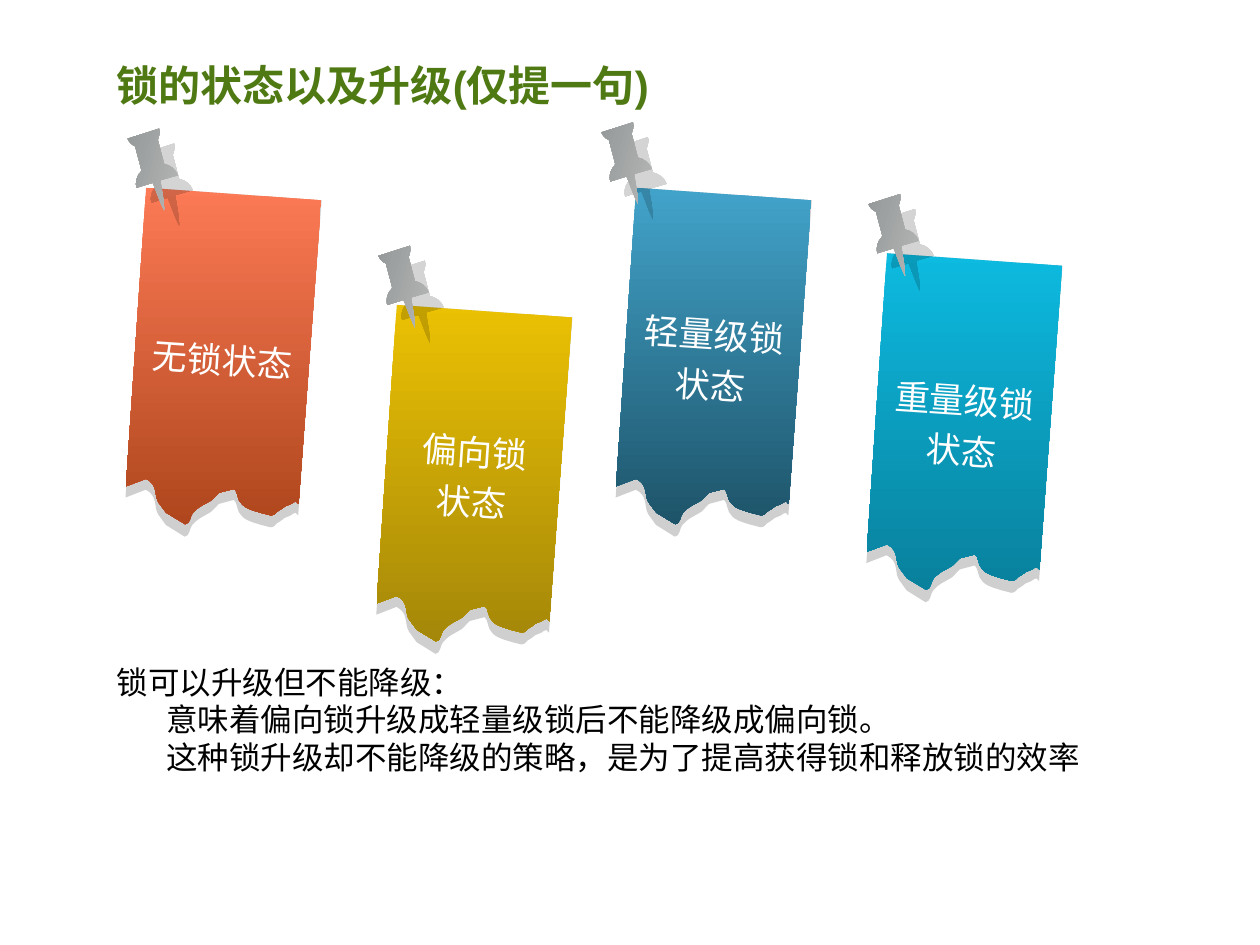
from math import cos, radians, sin

from lxml import etree
from pptx import Presentation
from pptx.dml.color import RGBColor
from pptx.enum.text import MSO_ANCHOR, MSO_AUTO_SIZE, PP_ALIGN
from pptx.oxml.ns import qn
from pptx.util import Inches, Pt

MIDDLE, TOP = MSO_ANCHOR.MIDDLE, MSO_ANCHOR.TOP
CENTER, LEFT = PP_ALIGN.CENTER, PP_ALIGN.LEFT
GROW = MSO_AUTO_SIZE.SHAPE_TO_FIT_TEXT
GREEN = RGBColor(0x4F, 0x79, 0x13)
BLACK = RGBColor(0x00, 0x00, 0x00)
WHITE = RGBColor(0xFF, 0xFF, 0xFF)
PAPER_SHADE = RGBColor(0xCF, 0xCF, 0xCF)
PIN_COLORS = RGBColor(0xBD, 0xBD, 0xBD), RGBColor(0x8A, 0x8F, 0x8F)
FONT = "Arial"

TITLE = "锁的状态以及升级(仅提一句)"
EXPLANATION = [  # text, left indent
    ("锁可以升级但不能降级：", 0),
    ("意味着偏向锁升级成轻量级锁后不能降级成偏向锁。", 0.39),
    ("这种锁升级却不能降级的策略，是为了提高获得锁和释放锁的效率", 0.39),
]
NOTES = [  # lines, top left corner, pin offset from it, gradient
    (["无锁状态"], (1.16, 1.49), (-0.15, -0.38),
     (RGBColor(0xFC, 0x7A, 0x56), RGBColor(0xAD, 0x45, 0x1B))),
    (["偏向锁", "状态"], (3.15, 2.42), (-0.15, -0.38),
     (RGBColor(0xEB, 0xC1, 0x03), RGBColor(0xA3, 0x86, 0x09))),
    (["轻量级锁状态"], (5.05, 1.49), (-0.28, -0.43),
     (RGBColor(0x42, 0xA3, 0xCA), RGBColor(0x1D, 0x52, 0x67))),
    (["重量级锁状态"], (7.04, 2.01), (-0.15, -0.38),
     (RGBColor(0x0D, 0xBA, 0xE0), RGBColor(0x09, 0x7F, 0x9B))),
]

# Outlines as they lie on the slide, from their first corner:
# two numbers are a line's end, six are a Bezier curve's controls and end.
PAPER = [
    (0, 0), (-0.16, 2.37), (0, 2.31), (0.1, 2.36, 0.06, 2.44, 0.1, 2.5),
    (0.16, 2.58), (0.31, 2.67), (0.35, 2.67, 0.35, 2.6, 0.37, 2.58),
    (0.39, 2.56, 0.4, 2.55, 0.43, 2.53), (0.52, 2.48), (0.58, 2.42),
    (0.7, 2.39), (0.73, 2.41, 0.72, 2.48, 0.76, 2.51),
    (0.79, 2.55, 0.88, 2.57, 0.91, 2.58), (0.99, 2.6),
    (1.02, 2.6, 1.03, 2.58, 1.04, 2.57), (1.06, 2.56, 1.09, 2.54, 1.1, 2.53),
    (1.15, 2.51), (1.16, 2.5, 1.18, 2.49, 1.19, 2.49), (1.21, 2.51),
    (1.27, 1.7, 1.33, 0.9, 1.39, 0.1), (0, 0),
]
PAPER_CENTER, PAPER_TILT, SHADE_STRETCH = (0.6, 1.37), 3.9, 2.75 / 2.65
PIN = [
    (0, 0), (0.25, -0.08), (0.26, -0.05, 0.25, -0.02, 0.24, 0.01),
    (0.29, 0.2), (0.34, 0.21, 0.38, 0.24, 0.4, 0.29), (0.26, 0.33),
    (0.27, 0.41, 0.29, 0.48, 0.29, 0.57), (0.25, 0.49, 0.23, 0.42, 0.2, 0.35),
    (0.07, 0.39), (0.06, 0.35, 0.07, 0.31, 0.09, 0.28),
    (0.1, 0.27, 0.11, 0.26, 0.11, 0.25), (0.06, 0.06),
    (0.03, 0.05, 0.01, 0.02, 0, 0),
]
PIN_CENTER, PIN_TILT = (0.2, 0.2), 298.5


def bend_curves(shape, outline):
    """Join the three line steps of each curve into one Bezier step."""
    lines = iter(list(shape._element.iter(qn("a:lnTo"))))
    for step in outline[1:]:
        first = next(lines)
        if len(step) == 6:
            curve = etree.Element(qn("a:cubicBezTo"))
            first.addprevious(curve)
            for line in (first, next(lines), next(lines)):
                curve.append(line[0])
                line.getparent().remove(line)


def add_tilted(page, outline, corner, center, tilt, stretch=1):
    """Draw the outline upright, stretched downwards, then turn it by tilt."""
    c, s = cos(radians(tilt)), sin(radians(tilt))
    upright = []
    for step in outline:
        for x, y in zip(step[::2], step[1::2]):
            dx, dy = x - center[0], y - center[1]
            upright.append((dx * c + dy * s, dy * c - dx * s))
    top = min(y for _, y in upright)
    points = [(Inches(corner[0] + center[0] + x),
               Inches(corner[1] + center[1] + top + (y - top) * stretch))
              for x, y in upright]
    builder = page.shapes.build_freeform(*points[0])
    builder.add_line_segments(points[1:])
    shape = builder.convert_to_shape()
    bend_curves(shape, outline)
    shape.rotation = tilt
    shape.line.fill.background()
    shape.shadow.inherit = False
    return shape


def fill_gradient(shape, colors, angle):
    """Fill with a gradient that does not turn with the shape."""
    shape.fill.gradient()
    shape.fill.gradient_angle = angle
    shape._element.spPr.find(qn("a:gradFill")).set("rotWithShape", "0")
    for stop, color in zip(shape.fill.gradient_stops, colors):
        stop.color.rgb = color


def cast_shadow(shape):
    effects = shape._element.spPr.find(qn("a:effectLst"))
    shadow = etree.SubElement(effects, qn("a:outerShdw"), blurRad="0",
                              dist=str(Pt(12.1)), dir="2700000", algn="tl",
                              rotWithShape="0")
    color = etree.SubElement(shadow, qn("a:srgbClr"), val="000000")
    etree.SubElement(color, qn("a:alpha"), val="17000")


def write(shape, lines, size, color, bold=False, align=LEFT, anchor=TOP, spacing=None):
    """Fill the shape with (text, left indent) lines."""
    frame = shape.text_frame
    frame.word_wrap = True
    frame.vertical_anchor = anchor
    for i, (text, indent) in enumerate(lines):
        para = frame.add_paragraph() if i else frame.paragraphs[0]
        para.alignment = align
        para.line_spacing = spacing
        if indent:
            para._p.get_or_add_pPr().set("marL", str(Inches(indent)))
        span = para.add_run()
        span.text = text
        span.font.name = FONT
        span.font.size = Pt(size)
        span.font.bold = bold
        span.font.color.rgb = color
    return frame


def add_note(page, lines, corner, pin_offset, colors):
    shade = add_tilted(page, PAPER, corner, PAPER_CENTER, PAPER_TILT, SHADE_STRETCH)
    shade.fill.solid()
    shade.fill.fore_color.rgb = PAPER_SHADE

    paper = add_tilted(page, PAPER, corner, PAPER_CENTER, PAPER_TILT)
    fill_gradient(paper, colors, 270)
    frame = write(paper, [(line, 0) for line in lines], 20, WHITE,
                  align=CENTER, anchor=MIDDLE, spacing=1.2)
    frame.margin_left = frame.margin_right = Inches(0.08)
    frame.margin_bottom = Inches(0.12)

    pin_corner = [a + b for a, b in zip(corner, pin_offset)]
    pin = add_tilted(page, PIN, pin_corner, PIN_CENTER, PIN_TILT)
    fill_gradient(pin, PIN_COLORS, 164)
    cast_shadow(pin)


def main():
    deck = Presentation()
    deck.slide_width, deck.slide_height = Inches(10), Inches(7.5)
    page = deck.slides.add_slide(deck.slide_layouts[6])

    title = page.shapes.add_textbox(Inches(0.83), Inches(0.35), Inches(8.66), Inches(0.65))
    write(title, [(TITLE, 0)], 24, GREEN, bold=True, anchor=MIDDLE)
    for note in NOTES:
        add_note(page, *note)
    box = page.shapes.add_textbox(Inches(0.83), Inches(5.21), Inches(8.35), Inches(1))
    write(box, EXPLANATION, 18, BLACK).auto_size = GROW

    deck.save("out.pptx")


if __name__ == "__main__":
    main()
